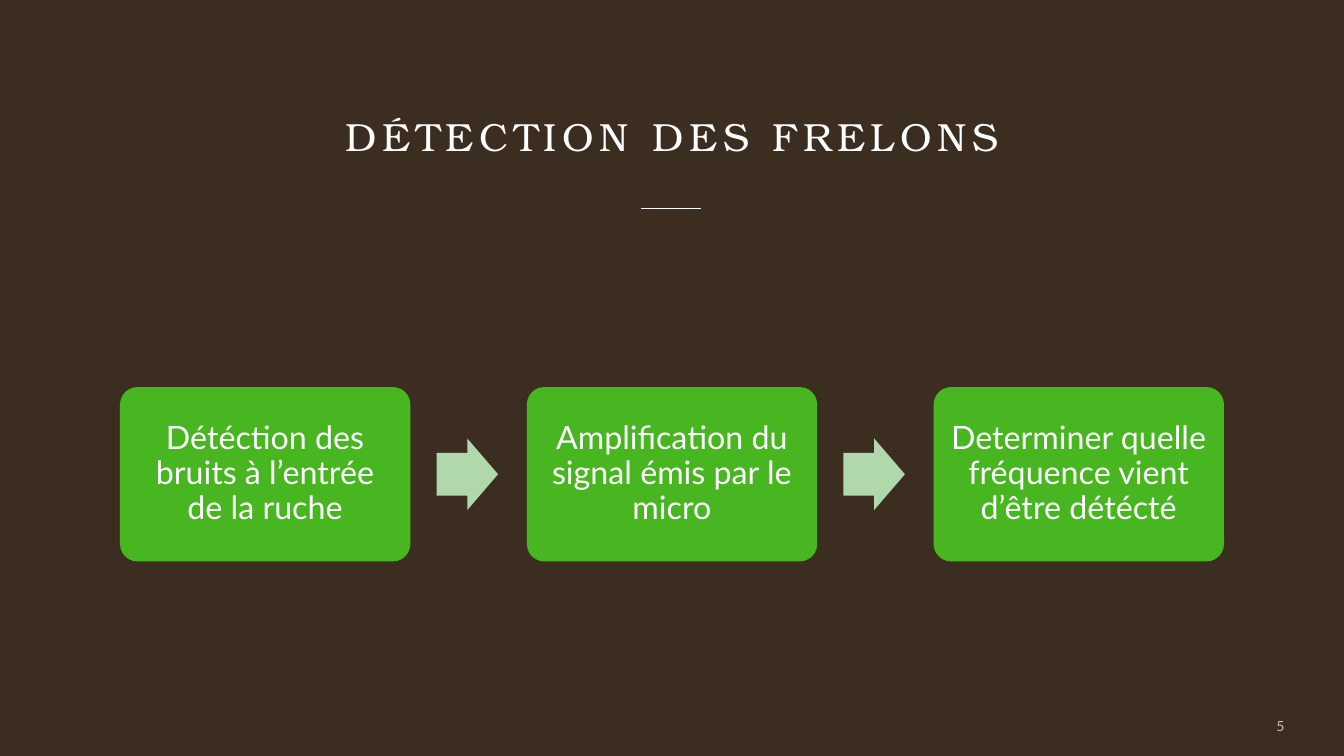
"""Build the hornet detection slide: a title and a three-step process."""
from lxml import etree
from pptx import Presentation
from pptx.dml.color import RGBColor
from pptx.enum.shapes import MSO_CONNECTOR, MSO_SHAPE
from pptx.enum.text import MSO_ANCHOR as Anchor, MSO_AUTO_SIZE as AutoSize, PP_ALIGN as Align
from pptx.oxml.ns import qn
from pptx.util import Inches, Pt

COLORS = {"background": "3B2E21", "text": "FFFFFF", "step": "47B620", "arrow": "B1D7AC"}
STEPS = [
    "Détéction des bruits à l’entrée de la ruche",
    "Amplification du signal émis par le micro",
    "Determiner quelle fréquence vient d’être détécté",
]
STEP_LEFT, STEP_PITCH, STEP_WIDTH = 1.19, 4.035, 2.88
ARROW_OFFSET = 3.14


def write_text(box, text, size, font, align, anchor, inset=0, tracking=0):
    """Put one formatted paragraph into a box and return it."""
    frame = box.text_frame
    frame.word_wrap = True
    frame.auto_size = AutoSize.NONE
    frame.vertical_anchor = anchor
    frame.margin_left = frame.margin_right = Inches(inset)
    frame.margin_top = frame.margin_bottom = Inches(inset)
    para = frame.paragraphs[0]
    span = para.add_run()
    span.text = text
    para.alignment = align
    para.font.size = Pt(size)
    para.font.name = font
    para.font.color.rgb = RGBColor.from_string(COLORS["text"])
    if tracking:
        para.font._element.set("spc", str(tracking * 100))
    return para


def add_block(page, preset, left, top, width, height, color, adjustments):
    """Add a flat preset shape without outline or shadow."""
    block = page.shapes.add_shape(preset, Inches(left), Inches(top), Inches(width), Inches(height))
    for index, value in enumerate(adjustments):
        block.adjustments[index] = value
    block.shadow.inherit = False
    block.fill.solid()
    block.fill.fore_color.rgb = RGBColor.from_string(COLORS[color])
    block.line.fill.background()
    return block


deck = Presentation()
deck.slide_width, deck.slide_height = Inches(13.33), Inches(7.5)
page = deck.slides.add_slide(deck.slide_layouts[5])
page.background.fill.solid()
page.background.fill.fore_color.rgb = RGBColor.from_string(COLORS["background"])

title = page.shapes.title
title.left, title.top = Inches(1.18), Inches(0.58)
title.width, title.height = Inches(10.97), Inches(1)
write_text(title, "DÉTECTION DES FRELONS", 28, "TeX Gyre Bonum", Align.CENTER, Anchor.BOTTOM, tracking=4)

rule = page.shapes.add_connector(
    MSO_CONNECTOR.STRAIGHT, Inches(6.36), Inches(2.07), Inches(6.95), Inches(2.07)
)
rule.line.color.rgb = RGBColor.from_string(COLORS["text"])
rule.line.width = Pt(1)
etree.SubElement(rule._element.spPr, qn("a:effectLst"))

number = page.shapes.add_textbox(Inches(10.33), Inches(7), Inches(2.41), Inches(0.4))
para = write_text(number, "5", 10, "Lato", Align.RIGHT, Anchor.MIDDLE, tracking=3)
para.space_after = Pt(6)
number_color = para.font._element.find(".//" + qn("a:srgbClr"))
etree.SubElement(number_color, qn("a:alpha")).set("val", "70000")

for index, text in enumerate(STEPS):
    left = STEP_LEFT + index * STEP_PITCH
    step = add_block(page, MSO_SHAPE.ROUNDED_RECTANGLE, left, 3.84, STEP_WIDTH, 1.73, "step", [0.1])
    para = write_text(step, text, 23, "Lato", Align.CENTER, Anchor.MIDDLE, inset=0.1)
    para.line_spacing = 0.9
    if index < len(STEPS) - 1:
        add_block(page, MSO_SHAPE.RIGHT_ARROW, left + ARROW_OFFSET, 4.35, 0.61, 0.71, "arrow", [0.6, 0.5])

deck.save("out.pptx")
